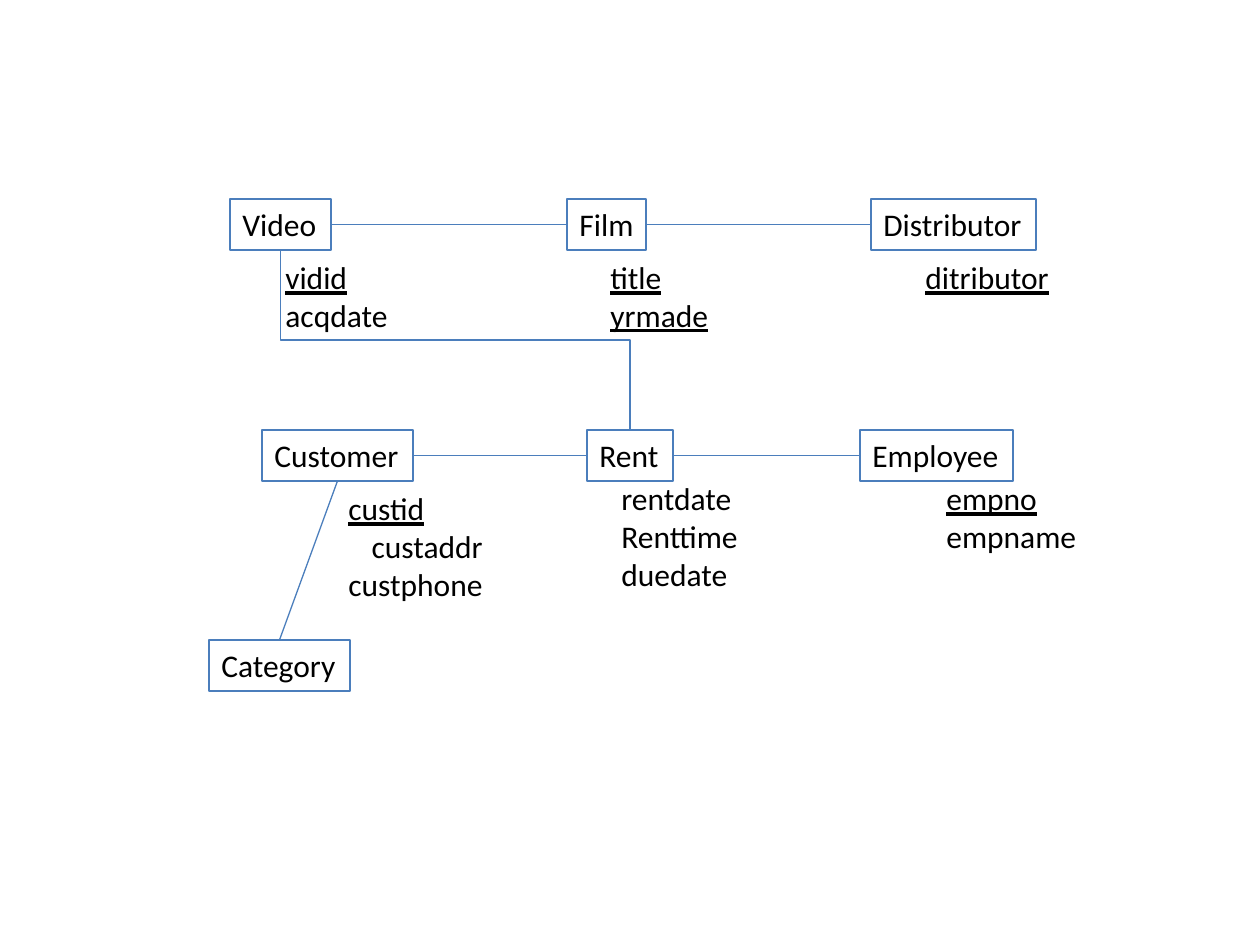
from pptx import Presentation
from pptx.dml.color import RGBColor
from pptx.enum.shapes import MSO_CONNECTOR, MSO_SHAPE
from pptx.enum.text import MSO_ANCHOR, MSO_AUTO_SIZE, PP_ALIGN
from pptx.oxml.ns import qn
from pptx.util import Pt
from lxml.etree import SubElement

SCALE = 914400 / 126
BLUE = "4B7EBC"
TOP, LEFT, BASE, RIGHT = range(4)  # connection sites of a rectangle
BOX_H = 51

# name: left, top, width
ENTITIES = {
    "Video": (230, 199, 101),
    "Film": (567, 199, 79),
    "Distributor": (871, 199, 165),
    "Rent": (587, 430, 86),
    "Employee": (860, 430, 153),
    "Customer": (262, 430, 151),
    "Category": (209, 640, 141),
}
# left, top, width, height, lines, number of key lines, alignment of later lines
FIELDS = [
    (273, 252, 128, 89, ["vidid", "acqdate"], 1, PP_ALIGN.RIGHT),
    (913, 252, 152, 89, ["ditributor"], 1, None),
    (598, 252, 125, 89, ["title", "yrmade"], 2, PP_ALIGN.RIGHT),
    (336, 483, 161, 127, ["custid", "custaddr", "custphone"], 1, PP_ALIGN.RIGHT),
    (609, 473, 144, 127, ["rentdate", "Renttime", "duedate"], 0, None),
    (934, 473, 157, 89, ["empno", "empname"], 1, None),
]
LINKS = [
    ("Film", RIGHT, "Distributor", LEFT),
    ("Video", RIGHT, "Film", LEFT),
    ("Employee", LEFT, "Rent", RIGHT),
    ("Rent", LEFT, "Customer", RIGHT),
    ("Customer", BASE, "Category", TOP),
]


def px(n):
    return round(n * SCALE)


def color(code):
    return RGBColor.from_string(code)


def write(frame, lines, keys=0, later=None, wrap=False):
    """Write one paragraph per line, underlining the first `keys` lines."""
    frame.word_wrap = wrap
    frame.auto_size = MSO_AUTO_SIZE.SHAPE_TO_FIT_TEXT
    frame.vertical_anchor = MSO_ANCHOR.TOP
    for i, line in enumerate(lines):
        para = frame.add_paragraph() if i else frame.paragraphs[0]
        para.alignment = later if i and later else PP_ALIGN.LEFT
        run = para.add_run()
        run.text = line
        font = run.font
        font.name, font.size = "Calibri", Pt(18)
        font.color.rgb = color("000000")
        font.underline = i < keys


def entity(slide, name, left, top, width):
    box = slide.shapes.add_shape(
        MSO_SHAPE.RECTANGLE, px(left), px(top), px(width), px(BOX_H))
    box.shadow.inherit = False
    box.fill.background()
    box.line.color.rgb = color(BLUE)
    box.line.width = Pt(0.75)
    write(box.text_frame, [name])
    return box


def fields(slide, left, top, width, height, lines, keys, later):
    box = slide.shapes.add_textbox(px(left), px(top), px(width), px(height))
    write(box.text_frame, lines, keys=keys, later=later, wrap=len(lines) == 1)


def link(slide, start, exit, end, entry, kind=MSO_CONNECTOR.STRAIGHT):
    line = slide.shapes.add_connector(kind, 0, 0, 0, 0)
    line.begin_connect(start, exit)
    line.end_connect(end, entry)
    line.line.color.rgb = color(BLUE)
    line.line.width = Pt(0.75)
    SubElement(line._element.spPr, qn("a:effectLst"))
    return line


def elbow(slide, start, end):
    """Link the base of one box to the top of another, leaving downwards."""
    line = link(slide, start, BASE, end, TOP, kind=MSO_CONNECTOR.ELBOW)
    wide, high = line.width, line.height
    line.left += (wide - high) // 2
    line.top += (high - wide) // 2
    line.width, line.height = high, wide
    frame = line._element.spPr.find(qn("a:xfrm"))
    frame.set("rot", "16200000")
    frame.set("flipH", "1")


def main():
    deck = Presentation()
    deck.slide_width, deck.slide_height = px(1260), px(945)
    slide = deck.slides.add_slide(deck.slide_layouts[6])
    boxes = {name: entity(slide, name, *place)
             for name, place in ENTITIES.items()}
    for group in FIELDS:
        fields(slide, *group)
    for start, exit, end, entry in LINKS:
        link(slide, boxes[start], exit, boxes[end], entry)
    elbow(slide, boxes["Video"], boxes["Rent"])
    deck.save("out.pptx")


if __name__ == "__main__":
    main()
